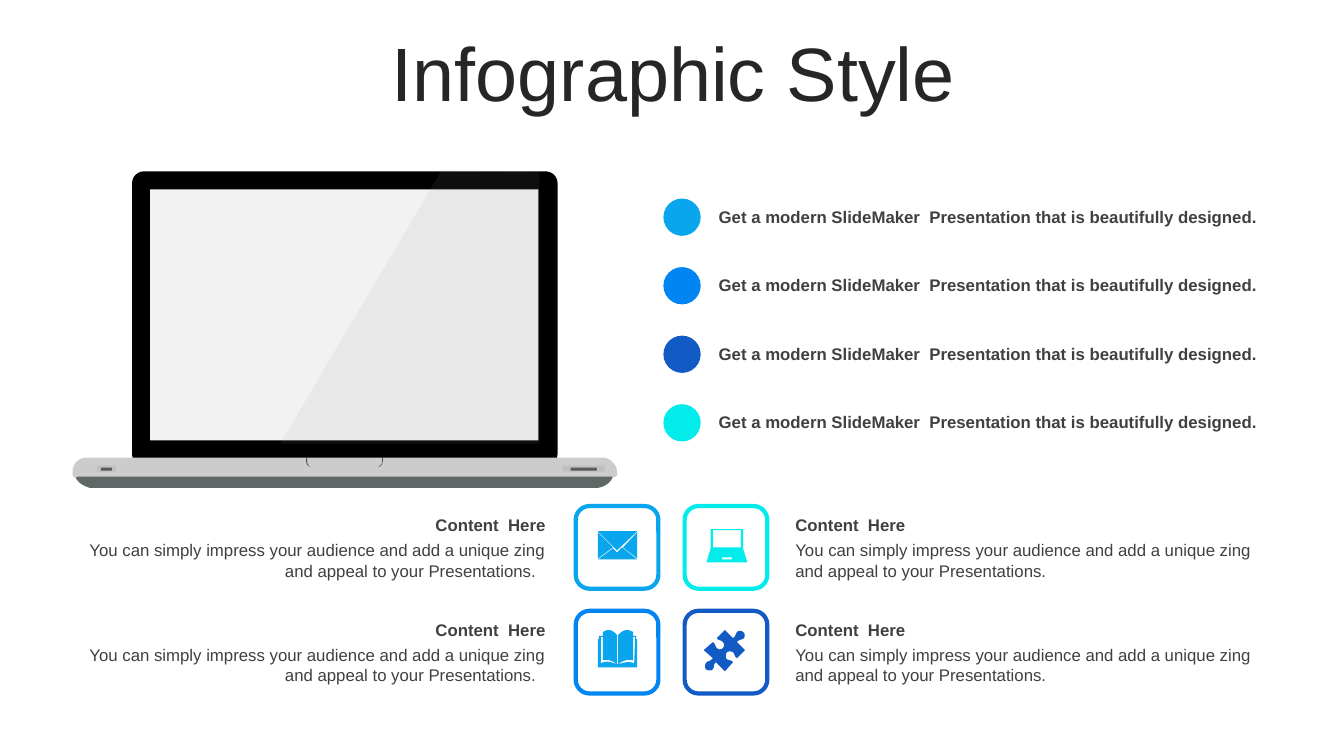
from lxml import etree
from pptx import Presentation, util as u
from pptx.dml.color import RGBColor
from pptx.enum import shapes, text
from pptx.oxml.ns import qn

SKY = RGBColor(0x0A, 0xA6, 0xED)
BLUE = RGBColor(0x00, 0x85, 0xF2)
NAVY = RGBColor(0x12, 0x5A, 0xC4)
CYAN = RGBColor(0x02, 0xEC, 0xEC)
INK = RGBColor(0x26, 0x26, 0x26)
GRAY = RGBColor(0x40, 0x40, 0x40)
BLACK = RGBColor(0, 0, 0)
PANE = RGBColor(0xF2, 0xF2, 0xF2)
BASE = RGBColor(0xCC, 0xCC, 0xCC)
UNDER = RGBColor(0x5F, 0x67, 0x67)
NOTCH = RGBColor(0x4D, 0x4D, 0x4D)
SLOT = RGBColor(0xBF, 0xBF, 0xBF)
PORT = RGBColor(0x59, 0x59, 0x59)
GLARE = RGBColor(0x99, 0x99, 0x99)

WIDE, HIGH = 13.33, 7.5
FONT = "Arial"
RECT = shapes.MSO_SHAPE.RECTANGLE
ROUND = shapes.MSO_SHAPE.ROUNDED_RECTANGLE
OVAL = shapes.MSO_SHAPE.OVAL
LEFT, RIGHT, MID = text.PP_ALIGN.LEFT, text.PP_ALIGN.RIGHT, text.PP_ALIGN.CENTER
TOP, CENTER = text.MSO_ANCHOR.TOP, text.MSO_ANCHOR.MIDDLE

POINT = "Get a modern SlideMaker  Presentation that is beautifully designed."
HEAD = "Content  Here"
BODY = ("You can simply impress your audience and add a unique zing "
        "and appeal to your Presentations.")

# Outlines are in hundredths of an inch from the corner of their box.
MAIL = """M 46 41 L 61 53 L 22 53 L 37 42 L 41 46 M 61 26 L 61 52 L 47 41
M 22 26 L 37 41 L 22 52 M 22 25 L 61 25 L 41 44"""
NOTE = """M 37 51 L 37 53 L 47 53 L 47 51 M 28 24 L 28 41 L 56 41 L 56 24
M 26 23 L 58 23 L 58 42 L 62 55 L 62 56 L 22 56 L 22 55 L 26 42"""
BOOK = """M 41 53 L 42 53 C 49 51 52 50 58 52 L 59 26 L 57 26 L 57 49
C 52 48 47 49 42 53 L 42 24 C 45 21 48 19 51 19 C 53 19 55 20 57 21
L 57 25 L 60 25 L 60 28 L 61 28 L 61 56 L 22 56 L 22 28 L 23 28 L 23 25
L 27 25 L 27 21 C 29 20 31 19 32 19 C 36 19 38 21 41 24 L 41 53
C 36 49 31 48 27 49 L 27 26 L 25 26 L 25 52 C 31 49 35 51 41 53"""
PUZZLE = """M 58 21 C 60 22 60 25 59 27 C 57 29 54 28 52 31 L 60 39 L 52 47
C 49 45 50 43 48 41 C 46 40 44 40 42 41 C 41 43 40 46 42 48
C 45 50 46 48 48 51 L 40 60 L 31 51 C 28 54 30 55 28 58
C 26 60 23 59 21 58 C 20 56 20 54 21 52 C 23 49 25 51 28 47
L 19 39 L 28 31 C 31 33 30 35 32 37 C 34 39 37 38 38 37
C 39 36 40 33 38 31 C 35 28 34 30 32 27 L 40 19 L 48 27
C 51 25 50 24 52 21 C 54 19 57 20 58 21"""
FOOT = """M 523 314 C 523 314 534 313 538 303 C 538 300 536 298 533 298
L 17 300 L 10 300 C 8 300 5 302 5 304 C 9 311 16 313 19 314"""
DECK = """M 16 284 L 528 284 C 535 284 542 291 542 298 L 542 301
C 542 301 542 304 537 303 L 7 303 C 5 304 2 304 2 301 L 2 298
C 2 290 8 284 16 284"""
LATCH = """M 234 284 L 235 284 C 235 284 233 291 238 293 C 232 292 234 284 234 284
M 309 284 L 310 284 C 310 292 307 293 305 293 C 307 292 310 291 309 284"""
SHINE = "M 368 -1 L 465 0 L 465 270 L 208 270"


def paint(shape, fill=None, line=None):
    shape.shadow.inherit = False
    if fill is None:
        shape.fill.background()
    else:
        shape.fill.solid()
        shape.fill.fore_color.rgb = fill
    if line is None:
        shape.line.fill.background()
    else:
        shape.line.color.rgb = line
        shape.line.width = u.Pt(3)
    return shape


def block(slide, kind, box, fill=None, line=None, bend=None):
    shape = slide.shapes.add_shape(kind, *map(u.Inches, box))
    if bend is not None:
        shape.adjustments[0] = bend
    return paint(shape, fill, line)


def curve(ends, steps=8):
    """Points along a cubic curve, after its start."""
    for step in range(1, steps + 1):
        t = step / steps
        parts = ((1 - t) ** 3, 3 * t * (1 - t) ** 2, 3 * t * t * (1 - t), t ** 3)
        yield tuple(sum(p * e[axis] for p, e in zip(parts, ends)) for axis in (0, 1))


def draw(slide, left, top, lines, fill):
    """Fill an outline of M, L and C moves."""
    loops = []
    marks = iter(lines.split())
    for mark in marks:
        ends = [(left + int(next(marks)) / 100, top + int(next(marks)) / 100)
                for _ in range(3 if mark == "C" else 1)]
        if mark == "M":
            loops.append(ends)
        elif mark == "L":
            loops[-1] += ends
        else:
            loops[-1] += curve([loops[-1][-1]] + ends)
    loops = [[(u.Inches(x), u.Inches(y)) for x, y in loop] for loop in loops]
    pen = slide.shapes.build_freeform(*loops[0][0])
    for index, loop in enumerate(loops):
        if index:
            pen.move_to(*loop[0])
        pen.add_line_segments(loop[1:], close=True)
    return paint(pen.convert_to_shape(), fill)


def write(shape, words, anchor=TOP, align=LEFT, size=12, bold=False, color=GRAY):
    frame = shape.text_frame
    for key, value in dict(text=words, word_wrap=True, vertical_anchor=anchor,
                           auto_size=text.MSO_AUTO_SIZE.NONE).items():
        setattr(frame, key, value)
    para = frame.paragraphs[0]
    para.alignment = align
    font = para.runs[0].font
    for key, value in dict(name=FONT, size=u.Pt(size), bold=bold).items():
        setattr(font, key, value)
    font.color.rgb = color
    return para


def label(slide, box, words, **style):
    return write(slide.shapes.add_textbox(*map(u.Inches, box)), words, **style)


def title(slide, box):
    shape = slide.shapes.title
    for key, value in zip(("left", "top", "width", "height"), box):
        setattr(shape, key, u.Inches(value))
    para = write(shape, "Infographic Style", CENTER, MID, 54, color=INK)
    para.line_spacing = 0.9


def laptop(slide, left, top):
    draw(slide, left, top, FOOT, UNDER)
    block(slide, ROUND, (left + 0.61, top, 4.22, 2.92), BLACK, bend=0.04)
    block(slide, RECT, (left + 0.79, top + 0.18, 3.85, 2.49), PANE)
    draw(slide, left, top, DECK, BASE)
    draw(slide, left, top, LATCH, NOTCH)
    for x, wide, inset in ((0.26, 0.19, 0.04), (4.88, 0.42, 0.08)):
        block(slide, ROUND, (left + x, top + 2.92, wide, 0.06), SLOT, bend=0.28)
        block(slide, ROUND, (left + x + inset, top + 2.94, wide - 2 * inset, 0.03),
              PORT, bend=0.28)
    glare = draw(slide, left, top, SHINE, GLARE)
    color = next(glare.fill._xPr.iter(qn("a:srgbClr")))
    etree.SubElement(color, qn("a:alpha"), val="10000")


def points(slide, left, top, pitch):
    for row, color in enumerate((SKY, BLUE, NAVY, CYAN)):
        y = top + row * pitch
        block(slide, OVAL, (left, y, 0.37, 0.37), color)
        label(slide, (left + 0.45, y + 0.03, 5.64, 0.3), POINT, bold=True)


def tiles(slide, left, top):
    """Two columns of icon tiles, each with its text on the outer side."""
    grid = (((MAIL, SKY, SKY), (NOTE, CYAN, CYAN)),
            ((BOOK, SKY, BLUE), (PUZZLE, NAVY, NAVY)))
    sides = ((-5.04, 4.84, RIGHT, "  "), (1, 4.87, LEFT, ""))
    for row, cells in enumerate(grid):
        for col, (icon, fill, edge) in enumerate(cells):
            x, y = left + 1.08 * col, top + 1.04 * row
            shift, wide, align, tail = sides[col]
            block(slide, ROUND, (x, y, 0.82, 0.82), line=edge)
            draw(slide, x, y, icon, fill)
            label(slide, (x + shift, y + 0.04, wide, 0.3), HEAD,
                  anchor=CENTER, align=align, bold=True)
            label(slide, (x + shift, y + 0.29, wide, 0.5), BODY + tail, align=align)


def main():
    deck = Presentation()
    deck.slide_width, deck.slide_height = u.Inches(WIDE), u.Inches(HIGH)
    slide = deck.slides.add_slide(deck.slide_layouts[5])
    title(slide, (0.35, 0.37, 12.66, 0.79))
    laptop(slide, 0.7, 1.7)
    points(slide, 6.58, 1.97, 0.68)
    tiles(slide, 5.71, 5.02)
    deck.save("out.pptx")


if __name__ == "__main__":
    main()
